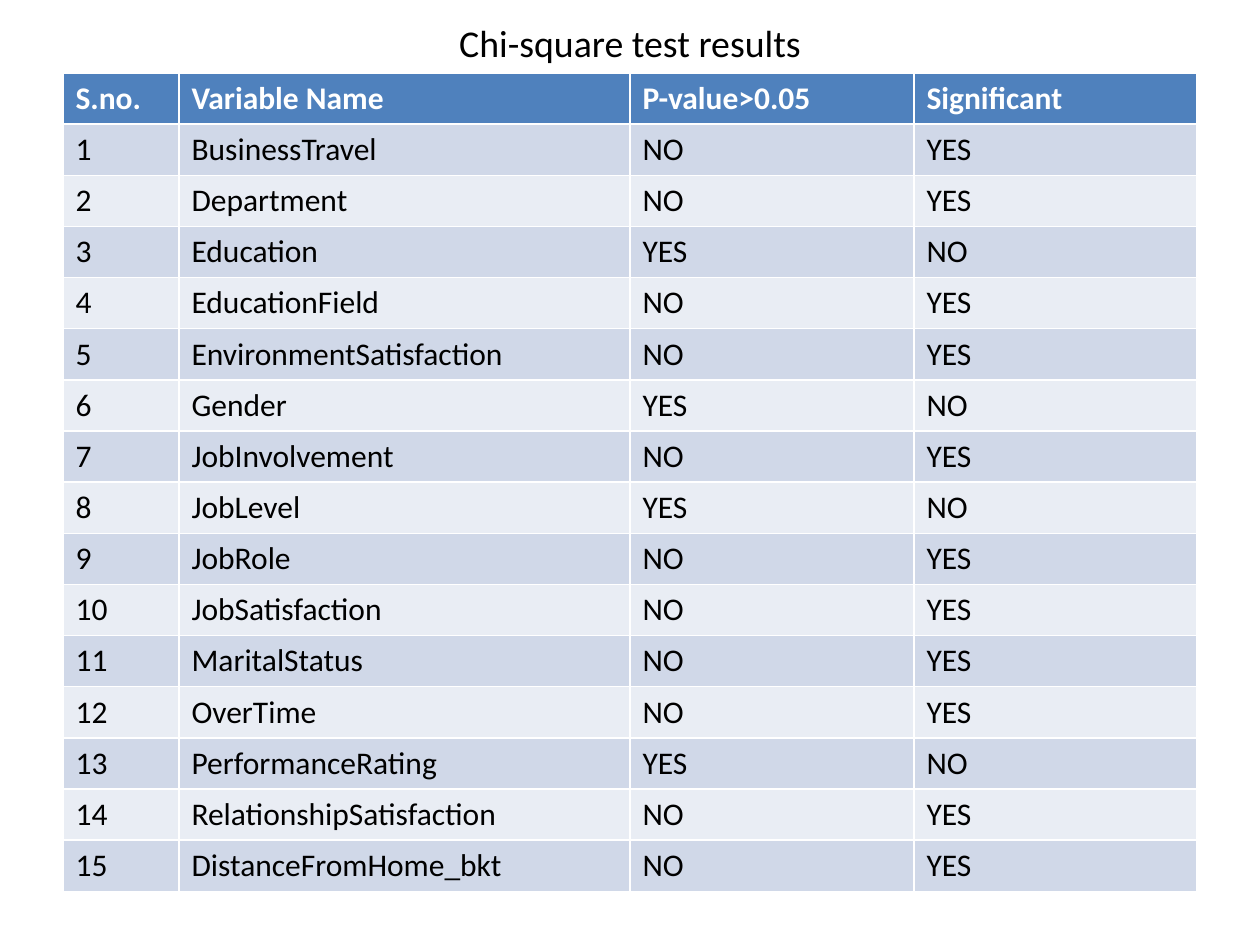
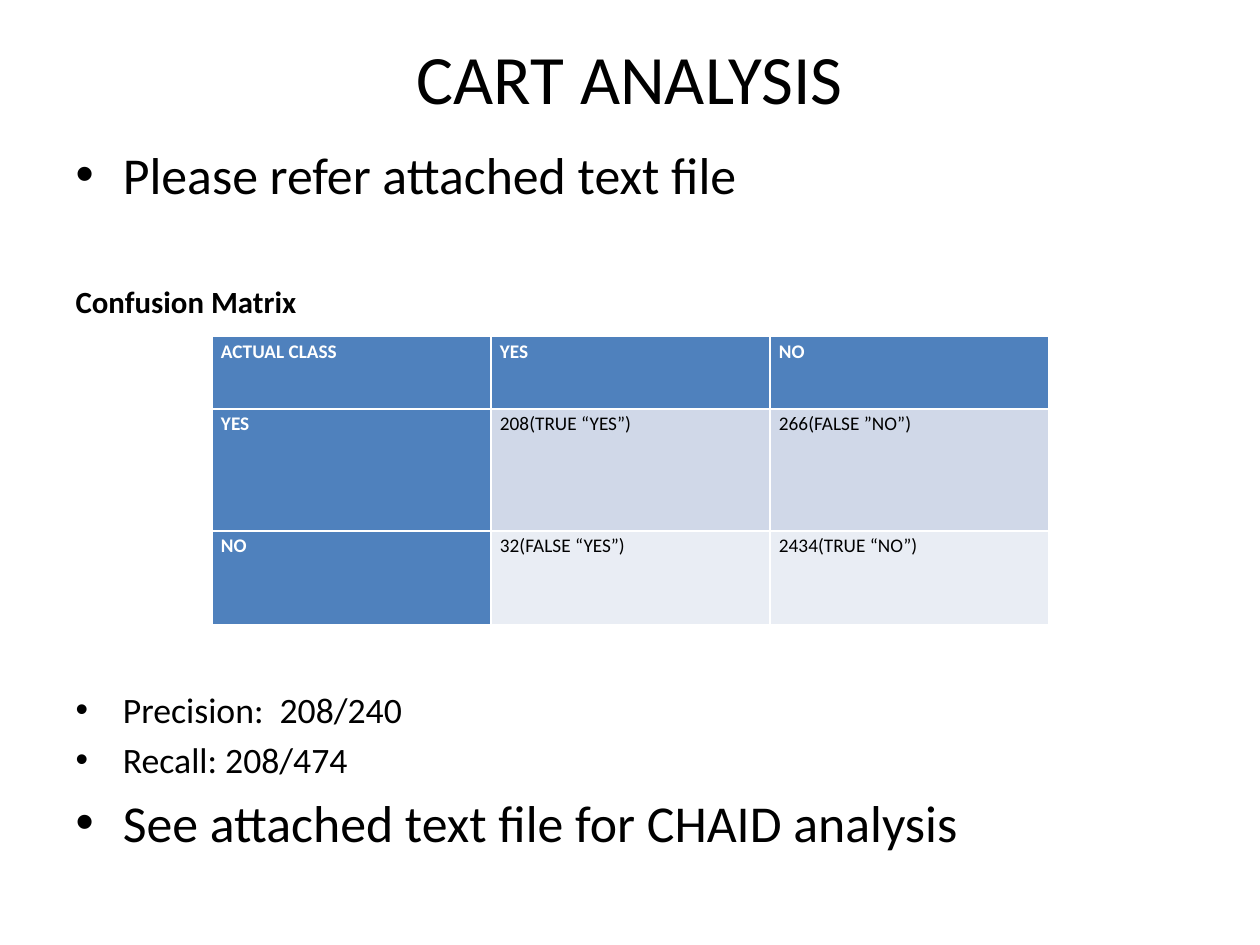
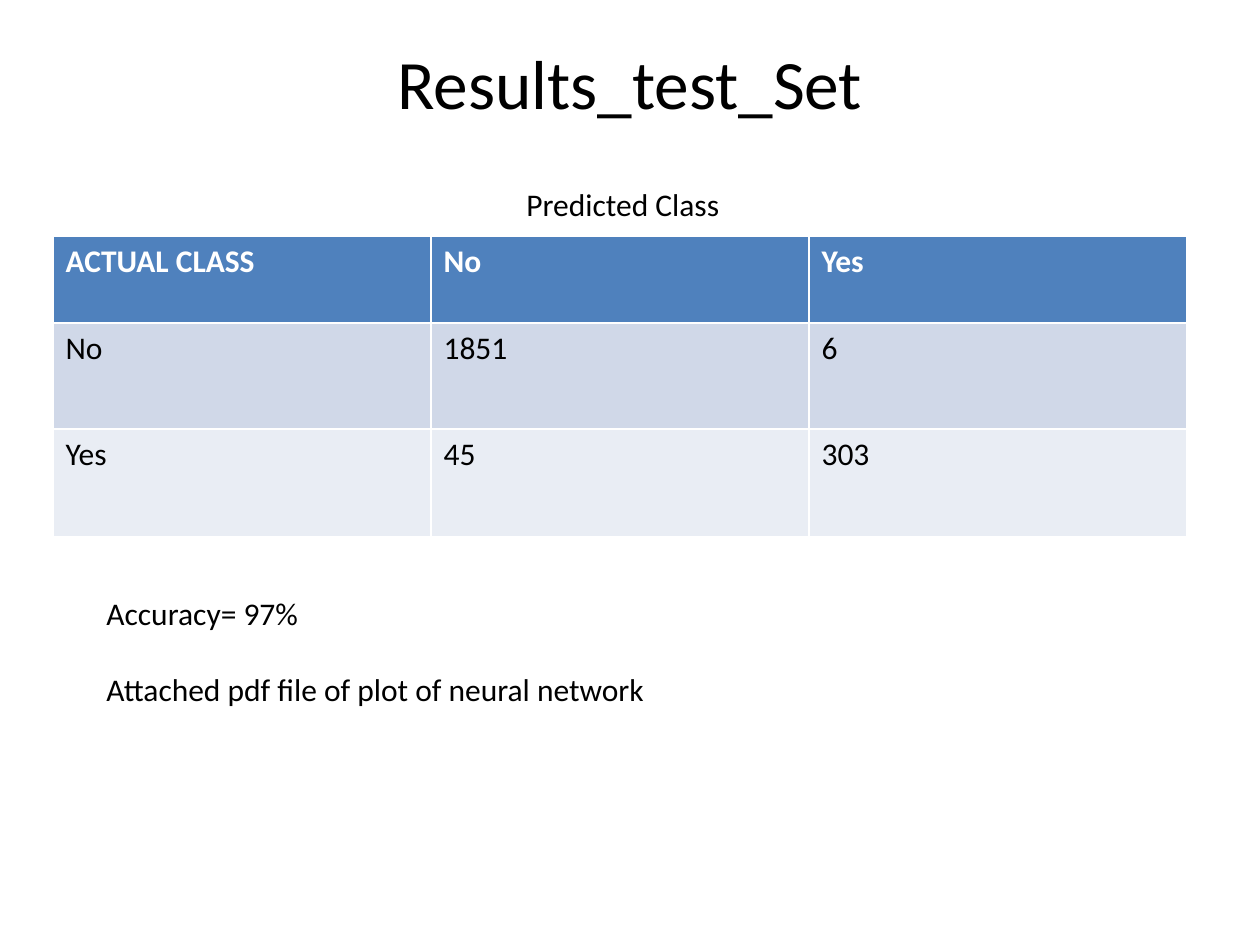
"""Build three slides of test results: chi-square, CART and test set."""
from pptx import Presentation
from pptx.dml.color import RGBColor as RGB
from pptx.enum.text import MSO_AUTO_SIZE as Fit
from pptx.util import Pt
from lxml.etree import SubElement

SCALE = 914400 / 126
FACE = "Calibri"
BLACK = RGB(0, 0, 0)
WHITE = RGB(255, 255, 255)
BLUE = RGB(0x4F, 0x81, 0xBD)
BANDS = [RGB(0xD0, 0xD8, 0xE8), RGB(0xE9, 0xED, 0xF4)]


def style(para, text, size, color=BLACK, bold=False):
    para.text = text
    font = para.font
    font.name, font.size, font.bold = FACE, Pt(size), bold
    font.color.rgb = color


def grid(slide, box, cols, heights, data, size=18, side=False):
    place = [round(n * SCALE) for n in box]
    table = slide.shapes.add_table(len(data), len(cols), *place).table
    table.first_col = side
    for col, width in zip(table.columns, cols):
        col.width = round(width * SCALE)
    for row, height in zip(table.rows, heights):
        row.height = round(height * SCALE)
    for r, line in enumerate(data):
        for c, text in enumerate(line):
            cell = table.cell(r, c)
            head = r == 0 or (side and c == 0)
            cell.fill.solid()
            cell.fill.fore_color.rgb = BLUE if head else BANDS[(r - 1) % 2]
            style(cell.text_frame.paragraphs[0], text, size,
                  WHITE if head else BLACK, head)
    return table


deck = Presentation()
deck.slide_width = round(1260 * SCALE)
deck.slide_height = round(945 * SCALE)

slides = []
for layout, title, size, top, height in [
    (5, "Chi-square test results", 21.6, 21, 42),
    (1, "CART ANALYSIS", 39.6, 38, 78),
    (5, "Results_test_Set", 39.6, 38, 88),
]:
    slide = deck.slides.add_slide(deck.slide_layouts[layout])
    shape = slide.shapes.title
    shape.left, shape.top, shape.width, shape.height = [
        round(n * SCALE) for n in (63, top, 1134, height)]
    shape.text_frame.auto_size = Fit.NONE
    style(shape.text_frame.paragraphs[0], title, size)
    slides.append(slide)
chi, cart, test = slides

names = [
    "BusinessTravel", "Department", "Education", "EducationField",
    "EnvironmentSatisfaction", "Gender", "JobInvolvement", "JobLevel",
    "JobRole", "JobSatisfaction", "MaritalStatus", "OverTime",
    "PerformanceRating", "RelationshipSatisfaction", "DistanceFromHome_bkt",
]
weak = {"Education", "Gender", "JobLevel", "PerformanceRating"}
data = [("S.no.", "Variable Name", "P-value>0.05", "Significant")]
for num, name in enumerate(names, 1):
    flags = ("YES", "NO") if name in weak else ("NO", "YES")
    data.append((str(num), name, *flags))
grid(chi, (63, 73, 1134, 819), (116, 451, 284, 283), (), data)

body = cart.placeholders[1]
body.left, body.top, body.width, body.height = [
    round(n * SCALE) for n in (63, 136, 1134, 708)]
frame = body.text_frame
frame.auto_size = Fit.NONE
for i, (text, size, gap, plain) in enumerate([
    ("Please refer attached text file", 29.6, 6, False),
    ("Confusion Matrix", 17.6, 44.5, True),
    ("Precision:  208/240", 20.4, 210.5, False),
    ("Recall: 208/474", 20.4, 4, False),
    ("See attached text file for CHAID analysis", 29.6, 6, False),
]):
    para = frame.add_paragraph() if i else frame.paragraphs[0]
    style(para, text, size, bold=plain)
    para.space_before = Pt(gap)
    if plain:
        props = para._p.get_or_add_pPr()
        props.set("marL", "0")
        props.set("indent", "0")
        mark = SubElement(
            props, "{http://schemas.openxmlformats.org/drawingml/2006/main}buNone")
        props.find("{*}defRPr").addprevious(mark)

matrix = grid(cart, (212, 336, 837, 289), (279,) * 3, (73, 122, 94), [
    ("ACTUAL CLASS", "YES", "NO"),
    ("YES", "208(TRUE “YES”)", "266(FALSE ”NO”)"),
    ("NO", "32(FALSE “YES”)", "2434(TRUE “NO”)"),
], size=11, side=True)
for cell in matrix.iter_cells():
    cell.margin_left = cell.margin_right = round(9 * SCALE)
    cell.margin_top = cell.margin_bottom = 0
    cell.text_frame.paragraphs[0].line_spacing = 1.15

grid(test, (53, 236, 1134, 301), (378,) * 3, (87, 106, 108), [
    ("ACTUAL CLASS", "No", "Yes"),
    ("No", "1851", "6"),
    ("Yes", "45", "303"),
])
for box, lines in [
    ((514, 179, 420, 51), ["Predicted Class"]),
    ((94, 588, 588, 127),
     ["Accuracy= 97%", "Attached pdf file of plot of neural network"]),
]:
    note = test.shapes.add_textbox(*[round(n * SCALE) for n in box])
    frame = note.text_frame
    frame.word_wrap = True
    for i, text in enumerate(lines):
        para = frame.add_paragraph() if i else frame.paragraphs[0]
        style(para, text, 18)
        para.space_before = Pt(22 * i)

deck.save("out.pptx")
